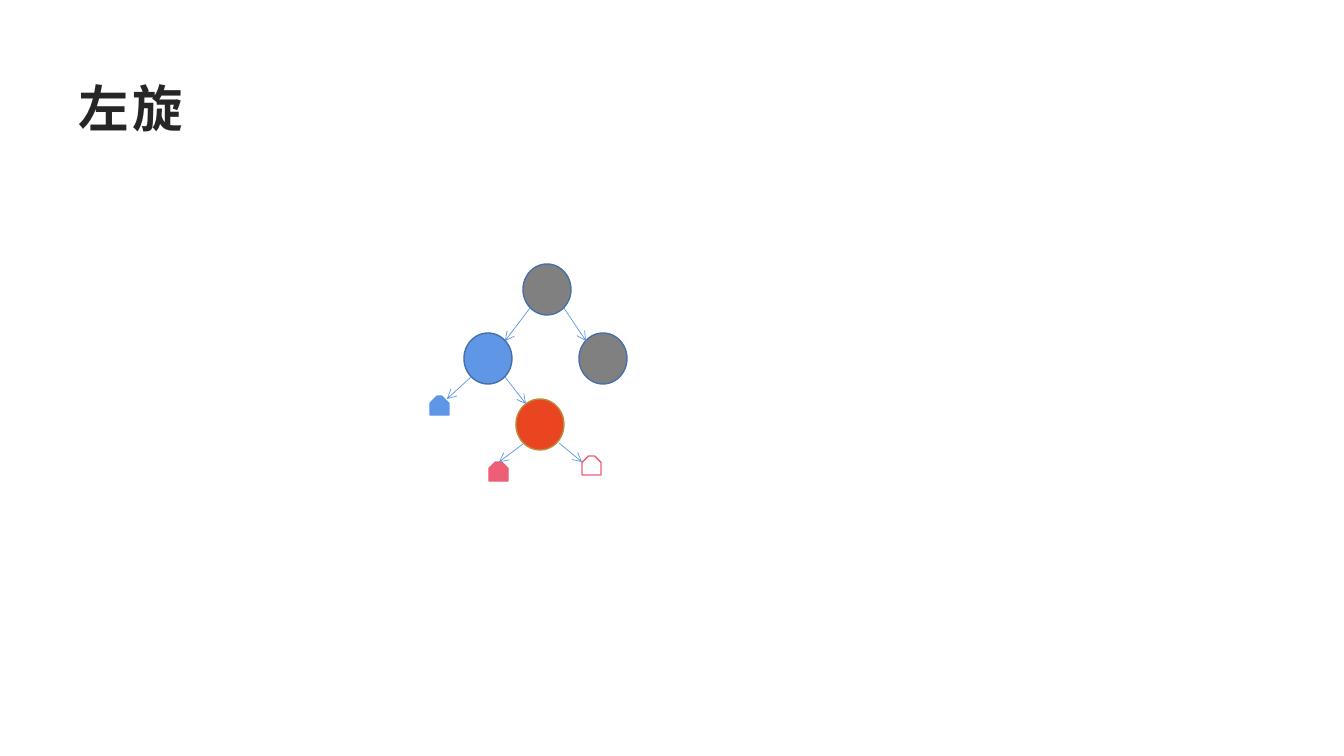
import dataclasses
import typing

import lxml.etree
import pptx
import pptx.dml.color
import pptx.enum.shapes
import pptx.enum.text
import pptx.oxml.ns
import pptx.util

EMU_PER_PIXEL = 914400 / 100.8
NODE_SIZE = (48, 51)
SUBTREE_SIZE = (19, 19)
GREY, BLUE, RED, PINK, WHITE = "808080", "6096E6", "E94520", "EC5F74", "FFFFFF"
BLUE_RIM, GOLD_RIM = "476FAA", "BD8A3F"


@dataclasses.dataclass(frozen=True)
class Node:
    left: int
    top: int
    fill: str
    rim: str = BLUE_RIM


@dataclasses.dataclass(frozen=True)
class Subtree:
    left: int
    top: int
    fill: str
    rim: str
    snip: float


@dataclasses.dataclass(frozen=True)
class Edge:
    start: tuple[int, int]
    end: tuple[int, int]


def px(pixels: int) -> pptx.util.Emu:
    return pptx.util.Emu(round(pixels * EMU_PER_PIXEL))


def rgb(code: str) -> pptx.dml.color.RGBColor:
    return pptx.dml.color.RGBColor.from_string(code)


def draw_vertex(slide, vertex: typing.Union[Node, Subtree]) -> None:
    kinds = pptx.enum.shapes.MSO_SHAPE
    is_node = isinstance(vertex, Node)
    kind = kinds.OVAL if is_node else kinds.SNIP_2_SAME_RECTANGLE
    width, height = NODE_SIZE if is_node else SUBTREE_SIZE
    outline = slide.shapes.add_shape(
        kind, px(vertex.left), px(vertex.top), px(width), px(height)
    )
    if not is_node:
        outline.adjustments[0] = vertex.snip
        outline.adjustments[1] = 0
    outline.shadow.inherit = False
    outline.fill.solid()
    outline.fill.fore_color.rgb = rgb(vertex.fill)
    outline.line.color.rgb = rgb(vertex.rim)
    outline.line.width = pptx.util.Pt(1)


def draw_edge(slide, edge: Edge) -> None:
    arrow = slide.shapes.add_connector(
        pptx.enum.shapes.MSO_CONNECTOR.STRAIGHT, *map(px, edge.start + edge.end)
    )
    arrow.line.color.rgb = rgb(BLUE)
    arrow.line.width = pptx.util.Pt(0.5)
    properties = arrow.element.spPr
    stroke = properties.find(pptx.oxml.ns.qn("a:ln"))
    lxml.etree.SubElement(stroke, pptx.oxml.ns.qn("a:tailEnd"), type="arrow")
    lxml.etree.SubElement(properties, pptx.oxml.ns.qn("a:effectLst"))


def write_title(slide, wording: str) -> None:
    title = slide.shapes.title
    title.left, title.top, title.width, title.height = map(px, (68, 68, 1210, 78))
    frame = title.text_frame
    frame.text = wording
    frame.vertical_anchor = pptx.enum.text.MSO_ANCHOR.MIDDLE
    frame.auto_size = pptx.enum.text.MSO_AUTO_SIZE.NONE
    heading = frame.paragraphs[0]
    heading.alignment = pptx.enum.text.PP_ALIGN.LEFT
    font = heading.runs[0].font
    font.name = "Arial"
    font.size = pptx.util.Pt(36)
    font.bold = True
    font.color.rgb = rgb("262626")
    properties = heading.runs[0]._r.get_or_add_rPr()
    properties.set("spc", "300")
    lxml.etree.SubElement(properties, pptx.oxml.ns.qn("a:ea"), typeface="Arial")


TREE = [
    Node(523, 264, GREY),
    Node(579, 333, GREY),
    Edge((530, 308), (505, 341)),
    Edge((564, 308), (586, 341)),
    Node(516, 399, RED, GOLD_RIM),
    Subtree(582, 456, WHITE, PINK, 0.34),
    Edge((559, 443), (582, 462)),
    Node(464, 333, BLUE),
    Edge((471, 377), (447, 399)),
    Subtree(430, 396, BLUE, BLUE, 0.38),
    Edge((505, 377), (526, 404)),
    Subtree(489, 462, PINK, PINK, 0.34),
    Edge((523, 444), (499, 462)),
]

deck = pptx.Presentation()
deck.slide_width, deck.slide_height = px(1344), px(756)
rotation_slide = deck.slides.add_slide(deck.slide_layouts[5])
write_title(rotation_slide, "左旋")
for part in TREE:
    if isinstance(part, Edge):
        draw_edge(rotation_slide, part)
    else:
        draw_vertex(rotation_slide, part)
deck.save("out.pptx")
